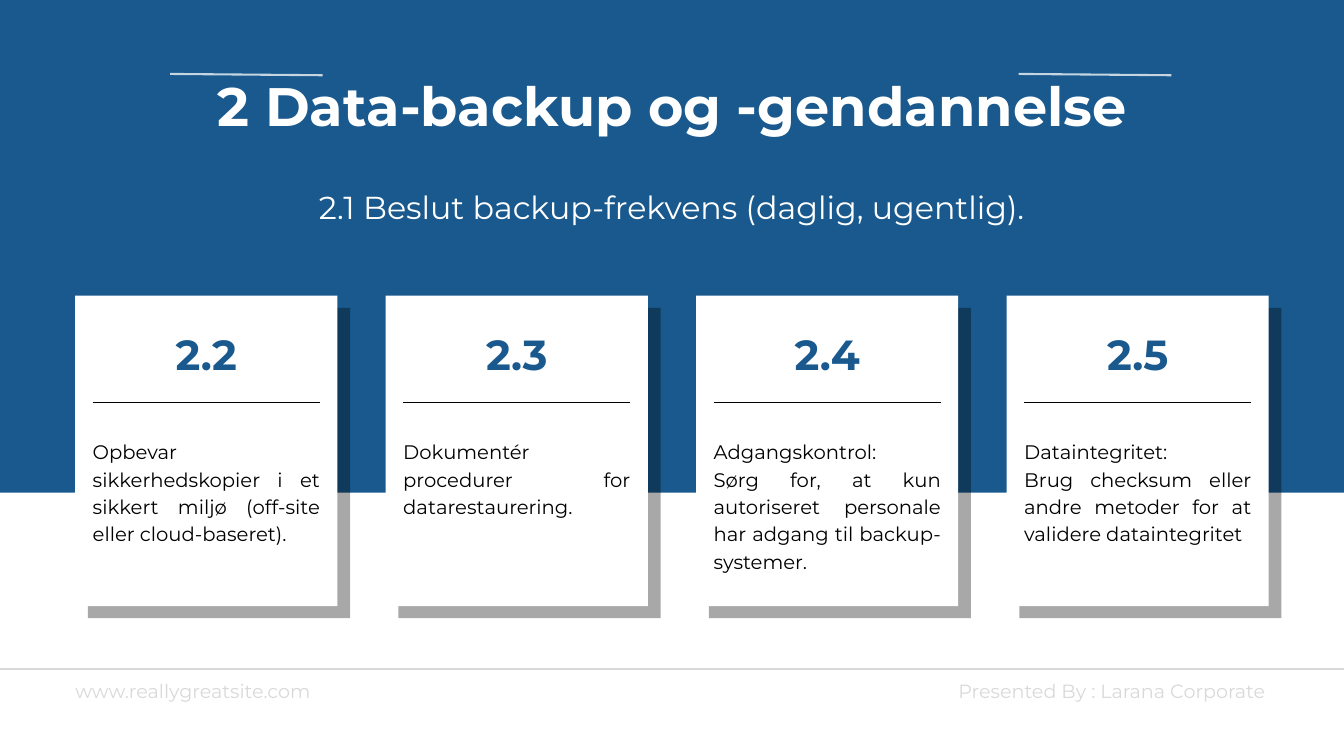
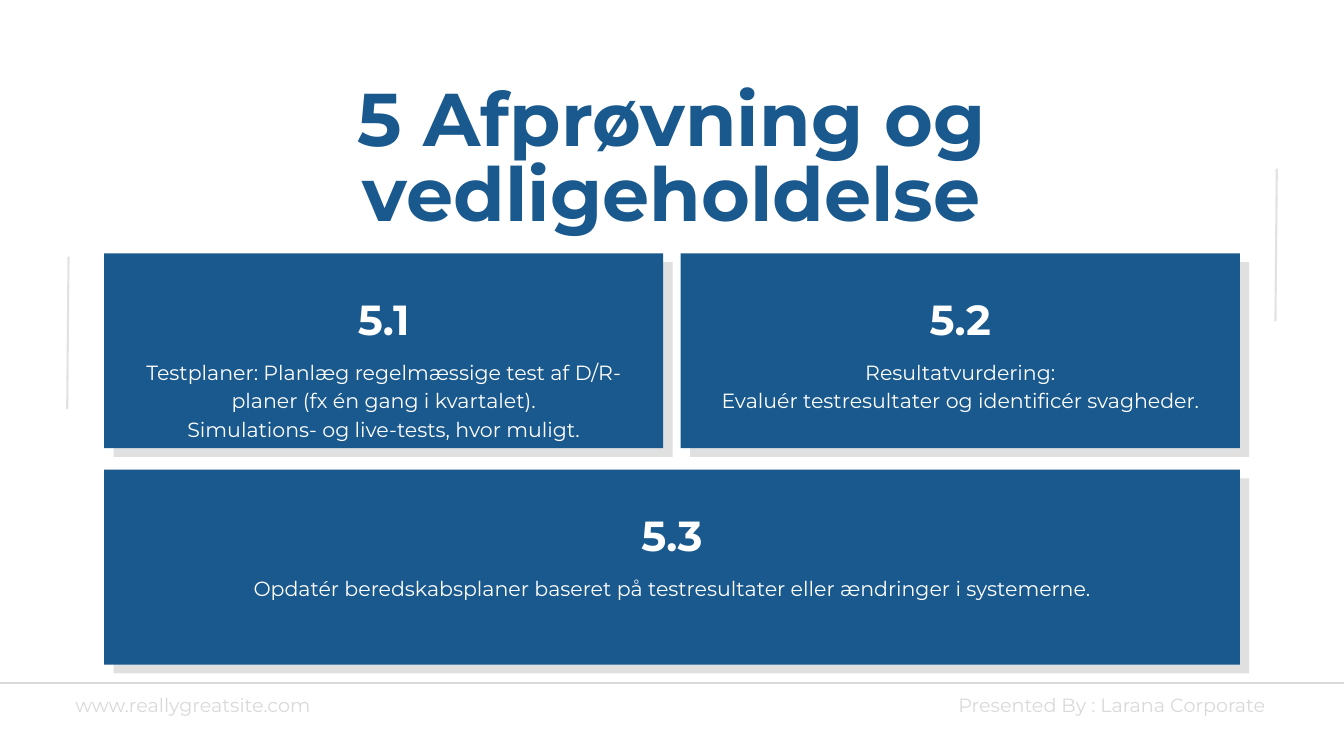
"""Build two slides on data backup and on testing and upkeep."""
import pptx
import pptx.dml.color
import pptx.enum.shapes
import pptx.enum.text
import pptx.oxml.ns
import pptx.util
from lxml import etree

RGB = pptx.dml.color.RGBColor
ALIGN = pptx.enum.text.PP_ALIGN
BLUE = RGB(0x19, 0x59, 0x8D)
WHITE = RGB(0xFF, 0xFF, 0xFF)
BLACK = RGB(0, 0, 0)
GREY = RGB(0xD9, 0xD9, 0xD9)

PX = 9144
WIDE, HIGH = 2000, 1125
EDGE = 112
FACE = "Montserrat"

FRAME = dict(word_wrap=True, margin_left=0, margin_top=0, margin_right=0,
             margin_bottom=0, vertical_anchor=pptx.enum.text.MSO_ANCHOR.TOP,
             auto_size=pptx.enum.text.MSO_AUTO_SIZE.SHAPE_TO_FIT_TEXT)
STYLES = {
    "title": dict(size=58, lead=58, bold=True, align=ALIGN.CENTER),
    "large": dict(size=80, lead=80, bold=True, align=ALIGN.CENTER),
    "lede": dict(size=34, lead=47.6, bold=False, align=ALIGN.CENTER),
    "number": dict(size=45, lead=63, bold=True, align=ALIGN.CENTER),
    "just": dict(size=21, lead=29.4, bold=False, align=ALIGN.JUSTIFY),
    "body": dict(size=22, lead=30.8, bold=False, align=ALIGN.CENTER),
    "left": dict(size=20.5, lead=20.5, bold=False, align=ALIGN.LEFT),
    "right": dict(size=20.5, lead=20.5, bold=False, align=ALIGN.RIGHT),
}

SITE = "www.reallygreatsite.com"
HOST = "Presented By : Larana Corporate"

BACKUP = "2 Data-backup og -gendannelse"
RATE = "2.1 Beslut backup-frekvens (daglig, ugentlig)."
STEPS = [
    ("2.2", ["Opbevar sikkerhedskopier i et sikkert miljø "
             "(off-site eller cloud-baseret)."]),
    ("2.3", ["Dokumentér procedurer for datarestaurering."]),
    ("2.4", ["Adgangskontrol:",
             "Sørg for, at kun autoriseret personale har adgang til "
             "backup-systemer."]),
    ("2.5", ["Dataintegritet:",
             "Brug checksum eller andre metoder for at validere "
             "dataintegritet"]),
]

UPKEEP = "5 Afprøvning og vedligeholdelse"
TESTS = [
    (0, 0, 1, "5.1", ["Testplaner: Planlæg regelmæssige test af D/R-planer "
                      "(fx én gang i kvartalet).",
                      "Simulations- og live-tests, hvor muligt."]),
    (1, 0, 1, "5.2", ["Resultatvurdering:",
                      "Evaluér testresultater og identificér svagheder."]),
    (0, 1, 2, "5.3", ["Opdatér beredskabsplaner baseret på testresultater "
                      "eller ændringer i systemerne."]),
]


def fade(part, share):
    """Give the colour inside a part an opacity in percent."""
    tint = next(part.iter(pptx.oxml.ns.qn("a:srgbClr")))
    alpha = etree.SubElement(tint, pptx.oxml.ns.qn("a:alpha"))
    alpha.set("val", str(share * 1000))


def block(slide, x, y, w, h, hue, share=100):
    """Draw a plain filled rectangle."""
    kind = pptx.enum.shapes.MSO_SHAPE.RECTANGLE
    shape = slide.shapes.add_shape(kind, *(n * PX for n in (x, y, w, h)))
    shape.shadow.inherit = False
    shape.fill.solid()
    shape.fill.fore_color.rgb = hue
    shape.line.fill.background()
    if share < 100:
        fade(shape.element.spPr, share)


def card(slide, x, y, w, h, hue, drop, share):
    """Draw a card above its offset shadow."""
    dx, dy = drop
    block(slide, x + dx, y + dy, w, h, BLACK, share)
    block(slide, x, y, w, h, hue)


def rule(slide, x1, y1, x2, y2, hue, width=2.25, share=100):
    """Draw a straight line."""
    kind = pptx.enum.shapes.MSO_CONNECTOR.STRAIGHT
    line = slide.shapes.add_connector(kind, *(n * PX for n in (x1, y1, x2, y2)))
    line.line.color.rgb = hue
    line.line.width = pptx.util.Pt(width)
    if share < 100:
        fade(line.element.spPr, share)
    etree.SubElement(line.element.spPr, pptx.oxml.ns.qn("a:effectLst"))


def text(slide, x, y, w, h, lines, style, hue):
    """Write paragraphs in one named style."""
    box = slide.shapes.add_textbox(*(n * PX for n in (x, y, w, h)))
    frame = box.text_frame
    for key, value in FRAME.items():
        setattr(frame, key, value)
    look = STYLES[style]
    frame.text = "\n".join(lines)
    for para in frame.paragraphs:
        para.alignment = look["align"]
        para.line_spacing = pptx.util.Pt(look["lead"])
        font = para.runs[0].font
        form = dict(name=FACE, size=pptx.util.Pt(look["size"]), bold=look["bold"])
        for key, value in form.items():
            setattr(font, key, value)
        font.color.rgb = hue


def foot(slide, y):
    """Draw the footer rule with its two labels."""
    rule(slide, 0, y, WIDE, y, GREY)
    text(slide, EDGE, y + 22, 558, 30, [SITE], "left", GREY)
    text(slide, WIDE - 117 - 554, y + 22, 554, 30, [HOST], "right", GREY)


def backup(slide):
    """Lay out the backup slide with four cards in a row."""
    block(slide, 0, 0, WIDE, 733, BLUE)
    text(slide, 308, 124, 1385, 139, [BACKUP], "title", WHITE)
    text(slide, 164, 270, 1671, 129, [RATE], "lede", WHITE)
    top, wide, pitch, pad = 440, 390, 462, 26
    for i, (num, lines) in enumerate(STEPS):
        x = EDGE + i * pitch
        left, span = x + pad, wide - 2 * pad
        card(slide, x, top, wide, 462, WHITE, (19, 18), 34)
        text(slide, left, top + 36, span, 82, [num], "number", BLUE)
        rule(slide, left, top + 159, left + span, top + 159, BLACK, 1.5)
        text(slide, left, top + 209, span, 201, lines, "just", BLACK)
    for x in (253, 1516):
        rule(slide, x, 110, x + 227, 112, WHITE, share=75)
    foot(slide, 995)


def upkeep(slide):
    """Lay out the testing slide with two cards above a wide one."""
    foot(slide, 1016)
    for x, y in ((100, 609), (1898, 478)):
        rule(slide, x, y, x + 2, y - 227, GREY, share=75)
    left, top, wide, high, gap_x, gap_y = 155, 377, 832, 290, 26, 32
    for col, row, span, num, lines in TESTS:
        x = left + col * (wide + gap_x)
        y = top + row * (high + gap_y)
        w = span * wide + (span - 1) * gap_x
        card(slide, x, y, w, high, BLUE, (14, 13), 12)
        text(slide, x + 76, y + 47, w - 152, 83, [num], "number", WHITE)
        text(slide, x + 43, y + 152, w - 86, 126, lines, "body", WHITE)
    text(slide, 298, 129, 1404, 337, [UPKEEP], "large", BLUE)


def main():
    """Make the deck and save it."""
    deck = pptx.Presentation()
    deck.slide_width, deck.slide_height = WIDE * PX, HIGH * PX
    for draw in (backup, upkeep):
        draw(deck.slides.add_slide(deck.slide_layouts[6]))
    deck.save("out.pptx")


if __name__ == "__main__":
    main()
